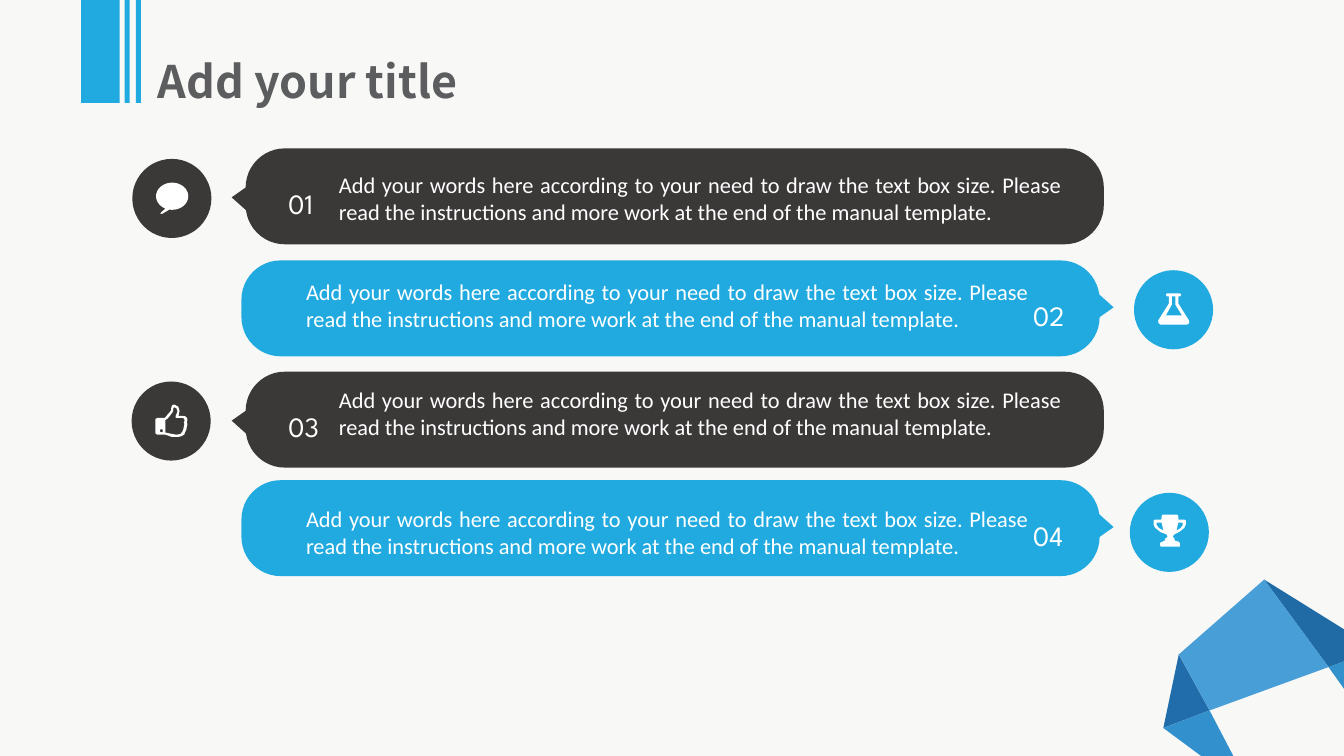
from math import cos, radians, sin

from lxml.etree import SubElement
from pptx import Presentation
from pptx.dml.color import RGBColor
from pptx.enum.shapes import MSO_SHAPE
from pptx.enum.text import MSO_ANCHOR, PP_ALIGN
from pptx.util import Pt

COLORS = {
    "background": "F8F8F6", "dark": "3B3838", "blue": "21AAE0", "white": "FFFFFF",
    "title": "5C5D5F", "fold_left": "216DAB", "fold_right": "206BA5",
    "ribbon_bottom": "3290CD", "ribbon_top": "489ED7", "ribbon_end": "3291CA",
}
WORDS = ("Add your words here according to your need to draw the text box size. "
         "Please read the instructions and more work at the end of the manual template.")

presentation = Presentation()
presentation.slide_width, presentation.slide_height = Pt(960), Pt(540)
slide = presentation.slides.add_slide(presentation.slide_layouts[6])
slide.background.fill.solid()
slide.background.fill.fore_color.rgb = RGBColor.from_string(COLORS["background"])


def arc(center_x, center_y, radius_x, radius_y, start, stop):
    """Return points along an ellipse, clockwise, with angles in degrees."""
    steps = 12 if stop - start <= 90 else 48
    angles = [radians(start + (stop - start) * step / steps) for step in range(steps + 1)]
    return [(center_x + radius_x * cos(angle), center_y + radius_y * sin(angle))
            for angle in angles]


def draw_outline(contours, color, left=0, top=0):
    """Draw one filled shape; contours after the first are holes."""
    builder = None
    for contour in contours:
        points = [(Pt(left + x), Pt(top + y)) for x, y in contour]
        if builder is None:
            builder = slide.shapes.build_freeform(*points[0], scale=1.0)
        else:
            builder.move_to(*points[0])
        builder.add_line_segments(points[1:], close=True)
    shape = builder.convert_to_shape()
    shape.shadow.inherit = False
    shape.fill.solid()
    shape.fill.fore_color.rgb = RGBColor.from_string(COLORS[color])
    shape.line.fill.background()


# Folded ribbon in the lower right corner
ribbon = [
    ("fold_left", [(831, 520), (842, 467.5), (864, 507.5)]),
    ("fold_right", [(949, 476.5), (903, 414), (960, 449.5), (960, 472.5)]),
    ("ribbon_bottom", [(881, 540), (858, 540), (831, 520), (864, 507.5)]),
    ("ribbon_top", [(864, 507.5), (842, 467.5), (903, 414), (949, 476.5)]),
    ("ribbon_end", [(960, 492), (949, 476.5), (960, 472.5)]),
]
for color, points in ribbon:
    draw_outline([points], color)

# Icons, each in a square of 23 points
speech_bubble = [arc(11.5, 9.7, 11.5, 9.7, 115, 460) + [(4.3, 22.3), (2.9, 22)]]
flask = [
    [(22.3, 19.4), (22.5, 21.2), (21, 22.3), (2, 22.3), (0.5, 21.2), (0.3, 19.4),
     (8, 7.2), (8, 2.2), (6.5, 2.2), (5.8, 1), (6.5, 0), (16, 0), (16.8, 1),
     (16, 2.2), (14.7, 2.2), (14.7, 7.2)],
    [(5.8, 15.8), (17.3, 15.8), (12.5, 8), (12.5, 2.2), (10.1, 2.2), (10.1, 8)],
]
thumb = [
    [(22.5, 13), (22.9, 14), (22.5, 15.8), (22.1, 18), (21.2, 19.8), (20.7, 21.4),
     (18.8, 22.5), (17, 23), (11.5, 23), (7.2, 21.5), (1.2, 21.5), (0, 20.5),
     (0, 10.5), (1.2, 9.5), (6.8, 9.5), (8, 8), (11, 4.5), (11.6, 1.2), (12.3, 0.3),
     (13.7, 0), (16.4, 1.5), (17.3, 4.5), (16.5, 8), (21, 8.2), (22.5, 9.3),
     (22.9, 10.8)],
    [(20.3, 15.8), (20.8, 13.8), (20.3, 13), (20.9, 11.5), (20.6, 10.2), (19.5, 9.5),
     (16, 9.6), (14.5, 9.4), (14.4, 8.3), (15.8, 5), (15.1, 2.7), (13.7, 2),
     (12.9, 2.3), (12.6, 5), (10.4, 8), (8.6, 10.2), (7.2, 11), (7.2, 20),
     (11, 20.8), (15, 21.5), (18, 21), (19.5, 19), (20.2, 16.8)],
    arc(4.3, 18.7, 1.1, 1.1, 0, 360),
]
trophy = [
    [(23, 7.2), (22, 9.5), (19, 12), (15.8, 13.7), (14.4, 14.5), (13.7, 16),
     (15, 17.2), (15.2, 18.7), (18, 19.5), (18.8, 20.5), (18.7, 23), (5, 23),
     (4.5, 21), (5, 20), (7.8, 18.8), (8.5, 17), (10, 16), (9.5, 14.4), (8, 13.7),
     (5, 12.6), (1, 9.4), (0, 7.2), (0, 4.3), (1, 3.6), (5.6, 3.6), (5.8, 1),
     (6.5, 0), (16.8, 0), (17.6, 1), (17.8, 3.6), (22, 3.6), (23, 4.3)],
    [(7, 11.5), (5.8, 5.8), (2.2, 5.8), (2.2, 7.5), (3.8, 9.6)],
    [(20.8, 5.8), (17.6, 5.8), (16.4, 11.5), (19.2, 9.8), (20.8, 7.7)],
]

# Banner with its pointer on the left; the right-hand one is turned half round
BANNER_WIDTH, BANNER_HEIGHT, RADIUS = 613, 68.5, 28
far_x, far_y = BANNER_WIDTH - RADIUS, BANNER_HEIGHT - RADIUS
left_banner = []
for center_x, center_y, start in [(RADIUS, RADIUS, 180), (far_x, RADIUS, 270),
                                  (far_x, far_y, 0), (RADIUS, far_y, 90)]:
    left_banner += arc(center_x, center_y, RADIUS, RADIUS, start, start + 90)
left_banner[-1] = (-10, 35)
right_banner = [(BANNER_WIDTH - x, BANNER_HEIGHT - y) for x, y in left_banner]

# Shapes as (kind, left, top, width, height, color)
presets = [(MSO_SHAPE.RECTANGLE, left, 0, width, 73.5, "blue")
           for left, width in [(58, 27.5), (89, 3.6), (97, 3.6)]]
# Texts as (text, left, top, width, height, size, font, color)
texts = [("Add your title", 112.5, 30.5, 286, 47, 32, "Noto Sans CJK SC", "title")]
icons = []

# Rows as (banner top, words top, circle left, circle top, icon, icon top)
rows = [
    (106, 119, 94.5, 113.5, speech_bubble, 130.5),
    (186, 195, 810, 193, flask, 209.5),
    (265.5, 272, 94, 272.5, thumb, 289),
    (343, 357, 807, 352, trophy, 367.5),
]
for number, (top, words_top, circle_left, circle_top, icon, icon_top) in enumerate(rows, 1):
    if number % 2:
        banner, color, banner_left = left_banner, "dark", 175.5
        words_left, number_left, number_width = 235, 193, 55
    else:
        banner, color, banner_left = right_banner, "blue", 172.5
        words_left, number_left, number_width = 211.5, 725, 69
    draw_outline([banner], color, banner_left, top)
    presets.append((MSO_SHAPE.OVAL, circle_left, circle_top, 56.5, 56.5, color))
    icons.append((icon, circle_left + 17, icon_top))
    texts.append((f"{number:02}", number_left, top + 17, number_width, 30,
                  20, "League Spartan", "white"))
    texts.append((WORDS, words_left, words_top, 530.5, 46, 16, "Calibri", "white"))

for kind, left, top, width, height, color in presets:
    shape = slide.shapes.add_shape(kind, Pt(left), Pt(top), Pt(width), Pt(height))
    shape.shadow.inherit = False
    shape.fill.solid()
    shape.fill.fore_color.rgb = RGBColor.from_string(COLORS[color])
    shape.line.fill.background()

for icon, left, top in icons:
    draw_outline(icon, "white", left, top)

for text, left, top, width, height, size, font_name, color in texts:
    box = slide.shapes.add_textbox(Pt(left), Pt(top), Pt(width), Pt(height))
    text_frame = box.text_frame
    text_frame.word_wrap = True
    text_frame.text = text
    paragraph = text_frame.paragraphs[0]
    inset = None
    if text == WORDS:
        paragraph.alignment = PP_ALIGN.JUSTIFY
    elif color == "title":
        inset = 0
        paragraph.line_spacing = 1.2
    else:
        inset = 3
        text_frame.vertical_anchor = MSO_ANCHOR.MIDDLE
        paragraph.line_spacing = 1.6
        paragraph._p.get_or_add_pPr().set("marL", str(Pt(10)))
    if inset is not None:
        text_frame.margin_left = text_frame.margin_right = Pt(inset)
        text_frame.margin_top = text_frame.margin_bottom = Pt(inset)
    run = paragraph.runs[0]
    run.font.size = Pt(size)
    run.font.name = font_name
    run.font.bold = color == "title"
    run.font.color.rgb = RGBColor.from_string(COLORS[color])
    namespace = run._r.nsmap["a"]
    SubElement(run._r.rPr, f"{{{namespace}}}ea", typeface=font_name)

presentation.save("out.pptx")
